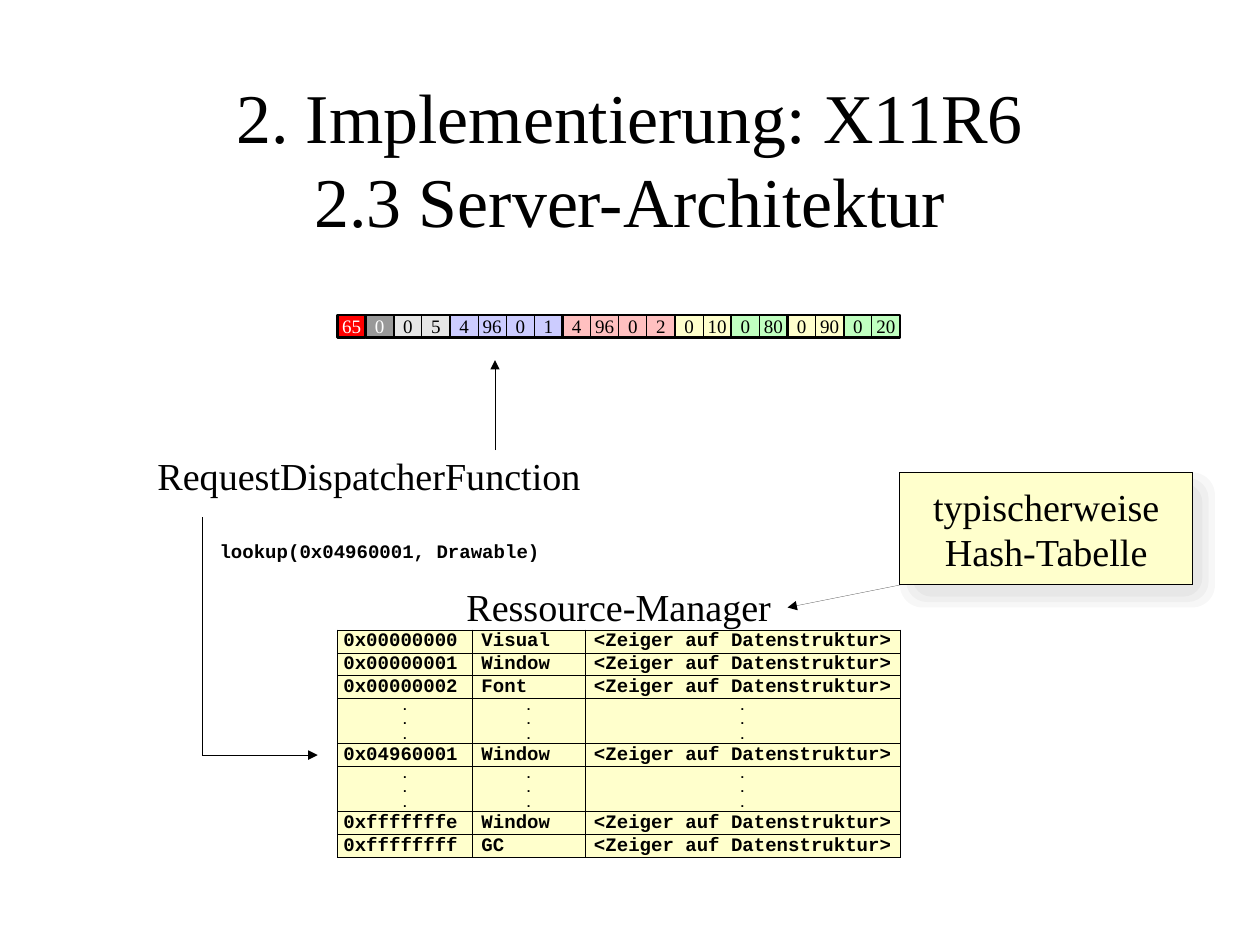
from lxml import etree
from pptx import Presentation
from pptx import util as u
from pptx.dml.color import RGBColor
from pptx.enum import shapes, text
from pptx.oxml import ns

BLACK = RGBColor(0x00, 0x00, 0x00)
WHITE = RGBColor(0xFF, 0xFF, 0xFF)
RED = RGBColor(0xFF, 0x00, 0x00)
GREY = RGBColor(0x99, 0x99, 0x99)
LIGHT_GREY = RGBColor(0xE6, 0xE6, 0xE6)
BLUE = RGBColor(0xCC, 0xCC, 0xFF)
PINK = RGBColor(0xFF, 0xC0, 0xC0)
YELLOW = RGBColor(0xFF, 0xFF, 0xCC)
GREEN = RGBColor(0xC0, 0xFF, 0xC0)
SERIF, MONO = "Times New Roman", "Courier New"
LEFT, CENTER, RIGHT = text.PP_ALIGN.LEFT, text.PP_ALIGN.CENTER, text.PP_ALIGN.RIGHT

TITLE = "2. Implementierung: X11R6\n2.3 Server-Architektur"
REQUEST_FIELDS = [  # byte values, fill, text colour
    (["65"], RED, WHITE),
    (["0"], GREY, WHITE),
    (["0", "5"], LIGHT_GREY, BLACK),
    (["4", "96", "0", "1"], BLUE, BLACK),
    (["4", "96", "0", "2"], PINK, BLACK),
    (["0", "10"], YELLOW, BLACK),
    (["0", "80"], GREEN, BLACK),
    (["0", "90"], YELLOW, BLACK),
    (["0", "20"], GREEN, BLACK),
]
POINTER = "<Zeiger auf Datenstruktur>"
DOTS = ".\n.\n."
RESOURCES = [
    ("0x00000000", "Visual", POINTER),
    ("0x00000001", "Window", POINTER),
    ("0x00000002", "Font", POINTER),
    (DOTS, DOTS, DOTS),
    ("0x04960001", "Window", POINTER),
    (DOTS, DOTS, DOTS),
    ("0xfffffffe", "Window", POINTER),
    ("0xffffffff", "GC", POINTER),
]
RESOURCE_COLUMNS = [  # width, alignment, left inset, right inset
    (3, RIGHT, 0, 0.33),
    (2.5, LEFT, 0.2, 0.2),
    (7, LEFT, 0.2, 0),
]
STRIP_LEFT, STRIP_TOP, BYTE_WIDTH, ROW_HEIGHT = 7.5, 7, 0.625, 0.5
TABLE_TOP, TABLE_WIDTH = 14, 12.5
CALLOUT_LEFT, CALLOUT_TOP = 20, 10.5


def write(frame, content, size=24, font=SERIF, color=BLACK, bold=False, align=CENTER,
          spacing=None):
    frame.text = content
    for paragraph in frame.paragraphs:
        paragraph.alignment = align
        paragraph.line_spacing = spacing
        for run in paragraph.runs:
            run.font.size, run.font.name, run.font.bold = u.Pt(size), font, bold
            run.font.color.rgb = color


def clear_margins(frame):
    frame.margin_left = frame.margin_right = frame.margin_top = frame.margin_bottom = 0


def add_label(parent, box, content, wrap=True, anchor=text.MSO_ANCHOR.TOP, **style):
    frame = parent.add_textbox(*map(u.Cm, box)).text_frame
    clear_margins(frame)
    frame.word_wrap = wrap
    frame.vertical_anchor = anchor
    write(frame, content, **style)


def draw_line(shape, width=0):
    """Set a black line; a width of 0 is written out, so that it stays a hairline."""
    shape.line.color.rgb = BLACK
    outline = shape.element.spPr.find(ns.qn("a:ln"))
    outline.set("w", str(u.Pt(width)))
    return outline


def add_box(parent, box, fill=None, line=None, content=None,
            kind=shapes.MSO_SHAPE.RECTANGLE, **style):
    shape = parent.add_shape(kind, *map(u.Cm, box))
    shape.shadow.inherit = False
    if fill is None:
        shape.fill.background()
    else:
        shape.fill.solid()
        shape.fill.fore_color.rgb = fill
    if line is None:
        shape.line.fill.background()
    else:
        draw_line(shape, line)
    if content:
        clear_margins(shape.text_frame)
        shape.text_frame.vertical_anchor = text.MSO_ANCHOR.MIDDLE
        write(shape.text_frame, content, **style)
    return shape


def make_arrow(shape):
    etree.SubElement(draw_line(shape), ns.qn("a:tailEnd"), type="triangle")


def add_arrow(parent, start, end):
    points = map(u.Cm, (*start, *end))
    connector = parent.add_connector(shapes.MSO_CONNECTOR.STRAIGHT, *points)
    make_arrow(connector)
    etree.SubElement(connector.element.spPr, ns.qn("a:effectLst"))


def add_request(slide):
    strip = slide.shapes.add_group_shape().shapes
    left, outlines = STRIP_LEFT, []
    for values, fill, color in REQUEST_FIELDS:
        outlines.append((left, STRIP_TOP, BYTE_WIDTH * len(values), ROW_HEIGHT))
        for value in values:
            add_box(strip, (left, STRIP_TOP, BYTE_WIDTH, ROW_HEIGHT), fill, 0, value,
                    size=12, color=color)
            left += BYTE_WIDTH
    for outline in outlines:
        add_box(strip, outline, line=1.42)


def add_borders(cell):
    properties = cell._tc.get_or_add_tcPr()
    for index, side in enumerate(("lnL", "lnR", "lnT", "lnB")):
        border = etree.Element(ns.qn("a:" + side), w=str(u.Pt(0.5)))
        fill = etree.SubElement(border, ns.qn("a:solidFill"))
        etree.SubElement(fill, ns.qn("a:srgbClr"), val=str(BLACK))
        properties.insert(index, border)


def add_resources(slide):
    heights = [2 * ROW_HEIGHT if row[0] == DOTS else ROW_HEIGHT for row in RESOURCES]
    area = (STRIP_LEFT, TABLE_TOP, TABLE_WIDTH, sum(heights))
    table = slide.shapes.add_table(len(RESOURCES), len(RESOURCE_COLUMNS),
                                   *map(u.Cm, area)).table
    table.first_row = table.horz_banding = False
    for row, height in zip(table.rows, heights):
        row.height = u.Cm(height)
    for c, (width, align, left, right) in enumerate(RESOURCE_COLUMNS):
        table.columns[c].width = u.Cm(width)
        for r, entry in enumerate(RESOURCES):
            cell, dots = table.cell(r, c), entry[c] == DOTS
            cell.margin_top = cell.margin_bottom = 0
            cell.margin_left = u.Cm(0.2 if dots else left)
            cell.margin_right = u.Cm(0.2 if dots else right)
            cell.vertical_anchor = text.MSO_ANCHOR.MIDDLE
            cell.fill.solid()
            cell.fill.fore_color.rgb = YELLOW
            if dots:
                style = dict(size=8, align=CENTER, spacing=u.Pt(9.2))
            else:
                style = dict(size=12, align=align)
            write(cell.text_frame, entry[c], font=MONO, bold=True, **style)
            add_borders(cell)


def add_lookup(slide):
    lookup = slide.shapes.add_group_shape().shapes
    builder = lookup.build_freeform(u.Cm(4.5), u.Cm(11.5))
    builder.add_line_segments([(u.Cm(4.5), u.Cm(16.78)), (u.Cm(7.06), u.Cm(16.78))],
                              close=False)
    path_to_entry = builder.convert_to_shape()
    path_to_entry.shadow.inherit = False
    path_to_entry.fill.background()
    make_arrow(path_to_entry)
    add_label(lookup, (4.88, 12, 8, 0.58), "lookup(0x04960001, Drawable)",
              size=12, font=MONO, bold=True, align=LEFT)
    add_arrow(lookup, (11, 10), (11, 8))


def add_callout(slide):
    callout = slide.shapes.add_group_shape().shapes
    add_arrow(callout, (CALLOUT_LEFT, 13), (17.5, 13.5))
    for step in range(3):
        dx, dy = 0.14 * step, 0.12 * step
        layer = add_box(callout, (CALLOUT_LEFT + dx, CALLOUT_TOP + dy, 7 - 2 * dx, 3 - 2 * dy),
                        BLACK, kind=shapes.MSO_SHAPE.ROUNDED_RECTANGLE)
        color = layer.element.spPr.find(".//" + ns.qn("a:srgbClr"))
        etree.SubElement(color, ns.qn("a:alpha"), val="3000")
    add_box(callout, (CALLOUT_LEFT, CALLOUT_TOP, 6.5, 2.5), YELLOW, 0,
            "typischerweise\nHash-Tabelle")


def main():
    presentation = Presentation()
    presentation.slide_width, presentation.slide_height = u.Cm(28), u.Cm(21)
    slide = presentation.slides.add_slide(presentation.slide_layouts[6])
    add_label(slide.shapes, (2.05, 1.75, 23.9, 3.5), TITLE, size=44,
              anchor=text.MSO_ANCHOR.MIDDLE)
    add_label(slide.shapes, (3.5, 10.05, 10.5, 0.95), "RequestDispatcherFunction",
              align=LEFT)
    add_request(slide)
    add_resources(slide)
    add_label(slide.shapes, (STRIP_LEFT, 13, TABLE_WIDTH, 0.95), "Ressource-Manager",
              anchor=text.MSO_ANCHOR.MIDDLE)
    add_lookup(slide)
    add_callout(slide)
    presentation.save("out.pptx")


if __name__ == "__main__":
    main()
